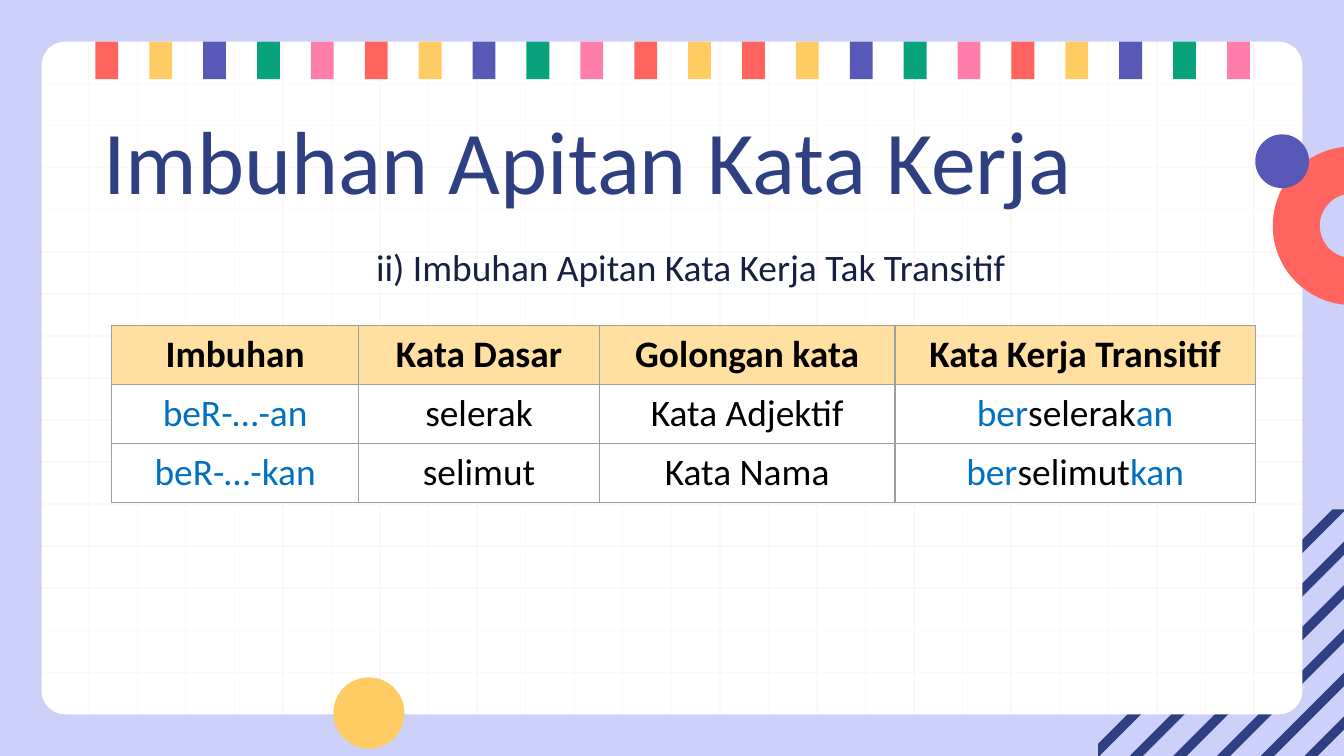
import math
from lxml import etree
from pptx import Presentation
from pptx.dml.color import RGBColor
from pptx.enum.shapes import MSO_CONNECTOR, MSO_SHAPE
from pptx.enum.text import MSO_ANCHOR, MSO_AUTO_SIZE, PP_ALIGN
from pptx.oxml.ns import qn
from pptx.util import Inches, Pt

STRAIGHT = MSO_CONNECTOR.STRAIGHT
RECT, ROUNDED, OVAL = MSO_SHAPE.RECTANGLE, MSO_SHAPE.ROUNDED_RECTANGLE, MSO_SHAPE.OVAL
LEFT, CENTER = PP_ALIGN.LEFT, PP_ALIGN.CENTER

LAVENDER = RGBColor(0xCD, 0xD1, 0xF9)
NAVY = RGBColor(0x2E, 0x40, 0x81)
INK = RGBColor(0x17, 0x20, 0x40)
WHITE = RGBColor(0xFF, 0xFF, 0xFF)
BLACK = RGBColor(0, 0, 0)
GRID = RGBColor(0xFF, 0xF7, 0xF7)
CORAL = RGBColor(0xFF, 0x64, 0x5E)
YELLOW = RGBColor(0xFF, 0xCC, 0x63)
PURPLE = RGBColor(0x58, 0x59, 0xB6)
GREEN = RGBColor(0x08, 0xA3, 0x7C)
PINK = RGBColor(0xFF, 0x7D, 0xAB)
HEADER = RGBColor(0xFF, 0xE0, 0xA1)
BLUE = RGBColor(0x00, 0x70, 0xC0)
BORDER = "9E9E9E"

FONT = "Calibri"
TITLE = "Imbuhan Apitan Kata Kerja"
SUBTITLE = "ii) Imbuhan Apitan Kata Kerja Tak Transitif"
COLUMNS = [("Imbuhan", 1.84), ("Kata Dasar", 1.79),
           ("Golongan kata", 2.2), ("Kata Kerja Transitif", 2.68)]
# prefix, suffix, root word, word class
WORDS = [("ber", "an", "selerak", "Kata Adjektif"),
         ("ber", "kan", "selimut", "Kata Nama")]
STRIPES = [CORAL, YELLOW, PURPLE, GREEN, PINK]
STRIPE_COLORS = (STRIPES * 3)[:12] + STRIPES * 2

W, H = 10, 10 * 9 / 16
MARGIN = 0.31
PANEL_W, PANEL_H = W - 2 * MARGIN, H - 2 * MARGIN

prs = Presentation()
prs.slide_width, prs.slide_height = Inches(W), Inches(H)
s = prs.slides.add_slide(prs.slide_layouts[5])
s.background.fill.solid()
s.background.fill.fore_color.rgb = LAVENDER


def paint(sp, color):
    sp.shadow.inherit = False
    sp.fill.solid()
    sp.fill.fore_color.rgb = color
    sp.line.fill.background()
    return sp


def add_shape(kind, box, color):
    return paint(s.shapes.add_shape(kind, *map(Inches, box)), color)


def add_polygon(points, color):
    emu = [(Inches(x), Inches(y)) for x, y in points]
    builder = s.shapes.build_freeform(*emu[0])
    builder.add_line_segments(emu[1:], close=True)
    return paint(builder.convert_to_shape(), color)


def add_grid_line(x1, y1, x2, y2):
    line = s.shapes.add_connector(STRAIGHT, *map(Inches, (x1, y1, x2, y2)))
    line.line.color.rgb = GRID
    line.line.width = Pt(0.75)
    etree.SubElement(line._element.spPr, qn("a:effectLst"))


def add_runs(p, runs, size, bold=False, align=CENTER):
    """Fill a paragraph with (text, colour) runs."""
    p.alignment = align
    for text, color in runs:
        r = p.add_run()
        r.text = text
        for name, value in dict(name=FONT, size=Pt(size), bold=bold).items():
            setattr(r.font, name, value)
        r.font.color.rgb = color


def set_frame(tf, top=0.1):
    tf.word_wrap = True
    tf.auto_size = MSO_AUTO_SIZE.NONE
    tf.vertical_anchor = MSO_ANCHOR.TOP
    tf.margin_left = tf.margin_right = tf.margin_bottom = Inches(0.1)
    tf.margin_top = Inches(top)


def add_hatching(left, top, count=7, band=0.1, step=0.32 + 0.005):
    """Draw 45-degree bands (x + y constant) clipped to the slide's corner."""
    def upper(c):
        return min(W, c - top), max(top, c - W)

    def lower(c):
        return max(left, c - H), min(H, c - left)

    for i in range(count):
        start = 15.33 - i * step
        end = start + band
        points = [upper(start), lower(start)]
        if start < left + H < end:
            points.append((left, H))
        points += [lower(end), upper(end)]
        if start < W + top < end:
            points.append((W, top))
        add_polygon(points, NAVY)


def add_half_ring(cx, cy, outer, inner, steps=48):
    angles = [math.pi * (0.5 + i / steps) for i in range(steps + 1)]
    arcs = [(outer, angles), (inner, angles[::-1])]
    add_polygon([(cx + r * math.cos(a), cy + r * math.sin(a))
                 for r, arc in arcs for a in arc], CORAL)


def style_cell(cell, color):
    cell.fill.solid()
    cell.fill.fore_color.rgb = color
    cell.vertical_anchor = MSO_ANCHOR.TOP
    tcPr = cell._tc.get_or_add_tcPr()
    for i, side in enumerate(("lnL", "lnR", "lnT", "lnB")):
        ln = etree.Element(qn("a:" + side), w=str(Pt(0.75)))
        fill = etree.SubElement(ln, qn("a:solidFill"))
        etree.SubElement(fill, qn("a:srgbClr"), val=BORDER)
        tcPr.insert(i, ln)


# Decorated background
add_hatching(8.17, 3.79)
add_shape(ROUNDED, (MARGIN, MARGIN, PANEL_W, PANEL_H), WHITE).adjustments[0] = 0.035
for i in range(1, 16):
    y = MARGIN + i * PANEL_H / 16
    add_grid_line(MARGIN, y, W - MARGIN, y)
for i in range(25):
    x = 0.66 + i * 8.67 / 24
    add_grid_line(x, MARGIN, x, H - MARGIN)
for i, color in enumerate(STRIPE_COLORS):
    add_shape(RECT, (0.71 + i * 8.42 / 21, MARGIN, 0.17, 0.28), color)
add_half_ring(10.06, 1.68, 0.59, 0.24)
add_shape(OVAL, (2.48, 5.04, 0.53, 0.53), YELLOW)
add_shape(OVAL, (9.34, 1, 0.4, 0.4), PURPLE)

# Title and subtitle
title = s.shapes.title
title.left, title.top, title.width, title.height = map(Inches, (0.67, 0.65, 8.43, 0.63))
set_frame(title.text_frame, top=0.13)
add_runs(title.text_frame.paragraphs[0], [(TITLE, NAVY)], 48, align=LEFT)
s.shapes._spTree.append(title._element)

subtitle = s.shapes.add_textbox(*map(Inches, (0.59, 1.55, 8.95, 3.54)))
set_frame(subtitle.text_frame)
p = subtitle.text_frame.paragraphs[0]
p.line_spacing = 1.5
p._p.get_or_add_pPr().set("marL", str(Inches(0.15)))
add_runs(p, [(SUBTITLE, INK)], 20)

# Table
rows = [[[(name, BLACK)] for name, _ in COLUMNS]]
for prefix, suffix, root, word_class in WORDS:
    rows.append([[(f"beR-…-{suffix}", BLUE)], [(root, BLACK)], [(word_class, BLACK)],
                 [(prefix, BLUE), (root, BLACK), (suffix, BLUE)]])
ROW_H = 0.44
widths = [width for _, width in COLUMNS]
table = s.shapes.add_table(len(rows), len(COLUMNS), *map(
    Inches, (0.83, 2.42, sum(widths), ROW_H * len(rows)))).table
for column, width in zip(table.columns, widths):
    column.width = Inches(width)
for i, row in enumerate(rows):
    table.rows[i].height = Inches(ROW_H)
    for j, runs in enumerate(row):
        cell = table.cell(i, j)
        style_cell(cell, WHITE if i else HEADER)
        add_runs(cell.text_frame.paragraphs[0], runs, 20, bold=(i == 0))

prs.save("out.pptx")
